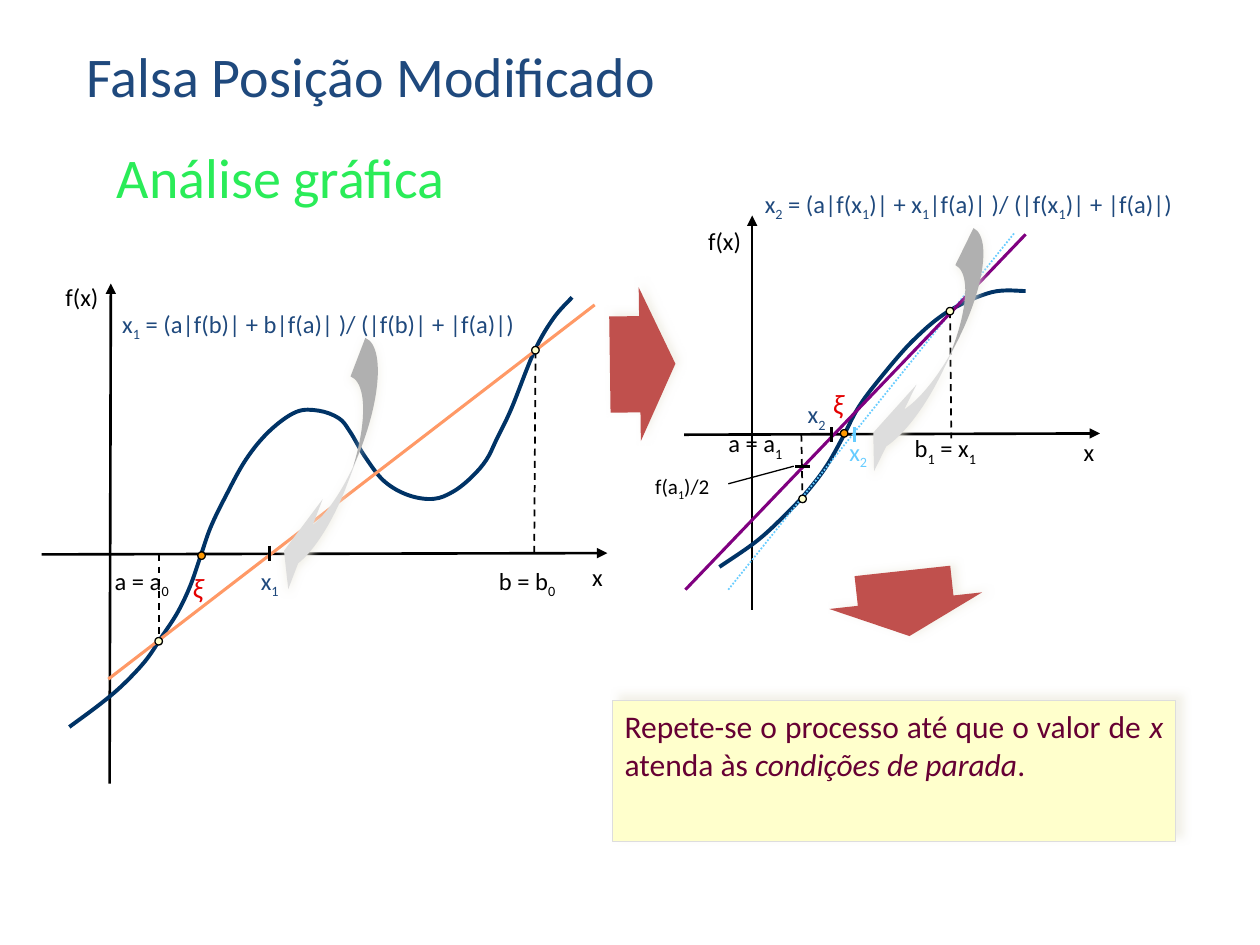
from lxml import etree
from pptx import Presentation
from pptx import util as u
from pptx.dml.color import RGBColor
from pptx.enum import dml, shapes, text
from pptx.oxml.ns import qn

FONT = "Calibri"
INK, NAVY, BLUE, SKY = "000000", "003366", "1F497D", "66CCFF"
CREAM, ORANGE, RED, GREY = "FFFFCC", "FF9900", "E40000", "DDDDDD"
DASH, DOT = dml.MSO_LINE.DASH, dml.MSO_LINE.ROUND_DOT
KIND = shapes.MSO_SHAPE
TICK, SPOT = 0.12, 0.06

# Headings: words, box, colour
HEADS = [
    ("Análise gráfica", (0.83, 1.07, 3.7, 0.64), "2AEC58"),
    ("Falsa Posição Modificado", (0.59, 0.28, 9.23, 0.63), BLUE),
]

# Axes: tip, tail
AXES = [
    ((0.88, 2.25), (0.87, 6.22)), ((4.82, 4.39), (0.33, 4.4)),
    ((5.97, 1.71), (5.97, 4.84)), ((8.73, 3.44), (5.43, 3.45)),
]

# Plain lines: from, to, colour, width, dash
DROPS = [
    ((1.26, 4.4), (1.26, 5.1), INK, 1, DASH),
    ((4.25, 2.79), (4.24, 4.4), INK, 1, DASH),
    ((6.36, 3.45), (6.37, 3.98), INK, 1, DASH),
    ((7.54, 2.47), (7.55, 3.48), INK, 1, DASH),
]
SECANTS = [
    ((0.86, 5.39), (4.72, 2.42), "FF9966", 1.75, None),
    ((5.78, 4.68), (8.05, 1.85), SKY, 1, DOT),
    ((5.44, 4.68), (8.14, 1.86), "800080", 1.75, None),
    ((6.3, 3.7), (5.78, 3.84), INK, 0.75, None),
]

# Ticks: middle, colour, upright
TICKS = [
    ((2.14, 4.39), INK, True), ((6.78, 3.45), SKY, True),
    ((6.6, 3.45), INK, True), ((6.37, 3.7), INK, False),
]

# Knots that each function curve passes through
CURVES = [
    [(0.55, 5.77), (0.78, 5.6), (0.96, 5.45), (1.15, 5.25), (1.28, 5.06),
     (1.41, 4.86), (1.51, 4.65), (1.59, 4.42), (1.67, 4.19), (1.78, 3.96),
     (1.95, 3.65), (2.14, 3.42), (2.35, 3.27), (2.53, 3.26), (2.69, 3.32),
     (2.78, 3.43), (2.9, 3.63), (3.05, 3.82), (3.24, 3.93), (3.44, 3.96),
     (3.6, 3.9), (3.75, 3.78), (3.86, 3.65), (3.94, 3.49), (4.06, 3.24),
     (4.24, 2.79), (4.39, 2.53), (4.54, 2.36)],
    [(5.71, 4.5), (6, 4.3), (6.21, 4.11), (6.4, 3.91), (6.56, 3.7),
     (6.69, 3.47), (6.81, 3.24), (6.98, 3.01), (7.25, 2.7), (7.53, 2.47),
     (7.87, 2.32), (8.14, 2.31)],
]

# Points: centre, fill
SPOTS = [
    ((1.6, 4.41), ORANGE), ((1.26, 5.09), CREAM), ((4.25, 2.78), CREAM),
    ((6.7, 3.44), ORANGE), ((6.37, 3.96), CREAM), ((7.54, 2.47), CREAM),
]

# Labels: words (subscripts between underscores), left, top, width, colour, size
LABELS = [
    ("x", 4.7, 4.46, 0.16, INK, 14),
    ("a = a_0_", 0.91, 4.49, 0.61, INK, 14),
    ("ξ", 1.53, 4.53, 0.16, RED, 16),
    ("f(x)", 0.52, 2.24, 0.3, INK, 14),
    ("b = b_0_", 3.96, 4.49, 0.61, INK, 14),
    ("x_1_ = (a|f(b)| + b|f(a)| )/ (|f(b)| + |f(a)|)", 0.97, 2.45, 3.33, BLUE, 14),
    ("x_1_", 2.07, 4.49, 0.18, BLUE, 14),
    ("x", 8.6, 3.47, 0.16, INK, 14),
    ("a = a_1_", 5.78, 3.4, 0.61, INK, 14),
    ("ξ", 6.61, 3.07, 0.16, RED, 16),
    ("f(x)", 5.62, 1.79, 0.3, INK, 14),
    ("b_1_ = x_1_", 7.26, 3.44, 0.61, INK, 14),
    ("x_2_ = (a|f(x_1_)| + x_1_|f(a)| )/ (|f(x_1_)| + |f(a)|)",
     6.07, 1.5, 3.33, BLUE, 14),
    ("x_2_", 6.74, 3.47, 0.18, SKY, 14),
    ("x_2_", 6.41, 3.17, 0.18, BLUE, 14),
    ("f(a_1_)/2", 5.2, 3.76, 0.61, INK, 12),
]

# Block arrows: kind, box, turn, adjustments, fill, shadow distance and angle
STEP, BEND = (0.626, 0.543), (1.168, 2.728, 0.5)
ARROWS = [
    (KIND.RIGHT_ARROW, (4.84, 2.28, 0.52, 1.22), 179.2, STEP, "C0504D", 2.9, 317),
    (KIND.RIGHT_ARROW, (6.93, 4.18, 0.52, 1.22), 263.8, STEP, "C0504D", 3.2, 342),
    (KIND.CURVED_RIGHT_ARROW, (2.5, 2.66, 0.28, 2.19), 20.9, BEND, GREY, 2.1, 90),
    (KIND.CURVED_RIGHT_ARROW, (7.23, 1.76, 0.28, 2.19), 26.1, BEND, GREY, 2.1, 90),
]

# Closing note: words, italic
NOTE = [
    ("Repete-se o processo até que o valor de ", False), ("x", True),
    (" atenda às ", False), ("condições de parada", True), (".", False),
]

deck = Presentation()
deck.slide_width, deck.slide_height = u.Inches(10), u.Inches(7.5)
slide = deck.slides.add_slide(deck.slide_layouts[6])
board = slide.shapes


def rgb(code):
    return RGBColor.from_string(code)


def inches(vals):
    return [u.Inches(v) for v in vals]


def write(para, words, size, color, italic=False):
    run = para.add_run()
    run.text = words
    font = run.font
    font.name, font.size, font.italic = FONT, u.Pt(size), italic
    font.color.rgb = rgb(color)
    return run


def line(start, end, color, width, dash=None, tip=False):
    link = board.add_connector(shapes.MSO_CONNECTOR.STRAIGHT, *inches(start + end))
    link.line.color.rgb = rgb(color)
    link.line.width = u.Pt(width)
    if dash:
        link.line.dash_style = dash
    if tip:
        etree.SubElement(link.line._get_or_add_ln(), qn("a:headEnd"), type="triangle")
    etree.SubElement(link._element.spPr, qn("a:effectLst"))


def curve(knots):
    """Draw a smooth Bezier path whose tangents follow the neighbouring knots."""
    ends = [knots[0]] + knots + [knots[-1]]
    pts = []
    for a, b, c, d in zip(ends, ends[1:], ends[2:], ends[3:]):
        pts.append([q + (r - p) / 6 for p, q, r in zip(a, b, c)])
        pts.append([r - (s - q) / 6 for q, r, s in zip(b, c, d)])
        pts.append(c)
    mils = [(x * 1000, y * 1000) for x, y in [knots[0]] + pts]
    pen = board.build_freeform(*mils[0], scale=914.4)
    pen.add_line_segments(mils[1:], close=False)
    shape = pen.convert_to_shape()
    shape.shadow.inherit = False
    shape.fill.background()
    shape.line.color.rgb, shape.line.width = rgb(NAVY), u.Pt(2.25)
    legs = list(shape._element.iter(qn("a:lnTo")))
    for i in range(0, len(legs), 3):
        bend = etree.Element(qn("a:cubicBezTo"))
        legs[i].addprevious(bend)
        for leg in legs[i:i + 3]:
            bend.append(leg[0])
            leg.getparent().remove(leg)


def block(kind, box, fill, edge=None):
    shape = board.add_shape(kind, *inches(box))
    shape.shadow.inherit = False
    shape.fill.solid()
    shape.fill.fore_color.rgb = rgb(fill)
    if edge:
        shape.line.color.rgb, shape.line.width = rgb(edge), u.Pt(0.75)
    else:
        shape.line.fill.background()
    return shape


def shade(shape, dist, angle):
    glow = etree.SubElement(
        shape._element.spPr.find(qn("a:effectLst")), qn("a:outerShdw"),
        blurRad=str(u.Pt(5)), dist=str(u.Pt(dist)), dir=str(angle * 60000),
        rotWithShape="0")
    tint = etree.SubElement(glow, qn("a:srgbClr"), val="EEECE1")
    etree.SubElement(tint, qn("a:alpha"), val="75000")


for words, box, color in HEADS:
    frame = board.add_textbox(*inches(box)).text_frame
    frame.word_wrap = True
    frame.vertical_anchor = text.MSO_ANCHOR.BOTTOM
    write(frame.paragraphs[0], words, 32, color)

for tip, tail in AXES:
    line(tip, tail, INK, 1.5, tip=True)
for drop in DROPS:
    line(*drop)
for knots in CURVES:
    curve(knots)
for secant in SECANTS:
    line(*secant)
for (x, y), color, upright in TICKS:
    dx, dy = (0, TICK / 2) if upright else (TICK / 2, 0)
    line((x - dx, y - dy), (x + dx, y + dy), color, 1.5)
for (x, y), fill in SPOTS:
    block(KIND.OVAL, (x - SPOT / 2, y - SPOT / 2, SPOT, SPOT), fill, INK)

for words, x, y, wide, color, size in LABELS:
    frame = board.add_textbox(*inches((x, y, wide, 0.23))).text_frame
    frame.word_wrap = True
    frame.margin_left = frame.margin_right = 0
    frame.margin_top = frame.margin_bottom = 0
    for i, part in enumerate(words.split("_")):
        if part:
            run = write(frame.paragraphs[0], part, size, color, words == "ξ")
            if i % 2:
                run.font._element.set("baseline", "-25000")

for kind, box, turn, adjust, fill, dist, angle in ARROWS:
    arrow = block(kind, box, fill)
    arrow.rotation = turn
    arrow._element.spPr.xfrm.set("flipH", "1")
    for i, value in enumerate(adjust):
        arrow.adjustments[i] = value
    shade(arrow, dist, angle)

note = block(KIND.RECTANGLE, (4.86, 5.56, 4.47, 1.12), CREAM, GREY)
shade(note, 5, 323)
note.text_frame.vertical_anchor = text.MSO_ANCHOR.TOP
note.text_frame.word_wrap = True
para = note.text_frame.paragraphs[0]
para.alignment = text.PP_ALIGN.JUSTIFY
for words, italic in NOTE:
    write(para, words, 18, "660033", italic)

deck.save("out.pptx")
